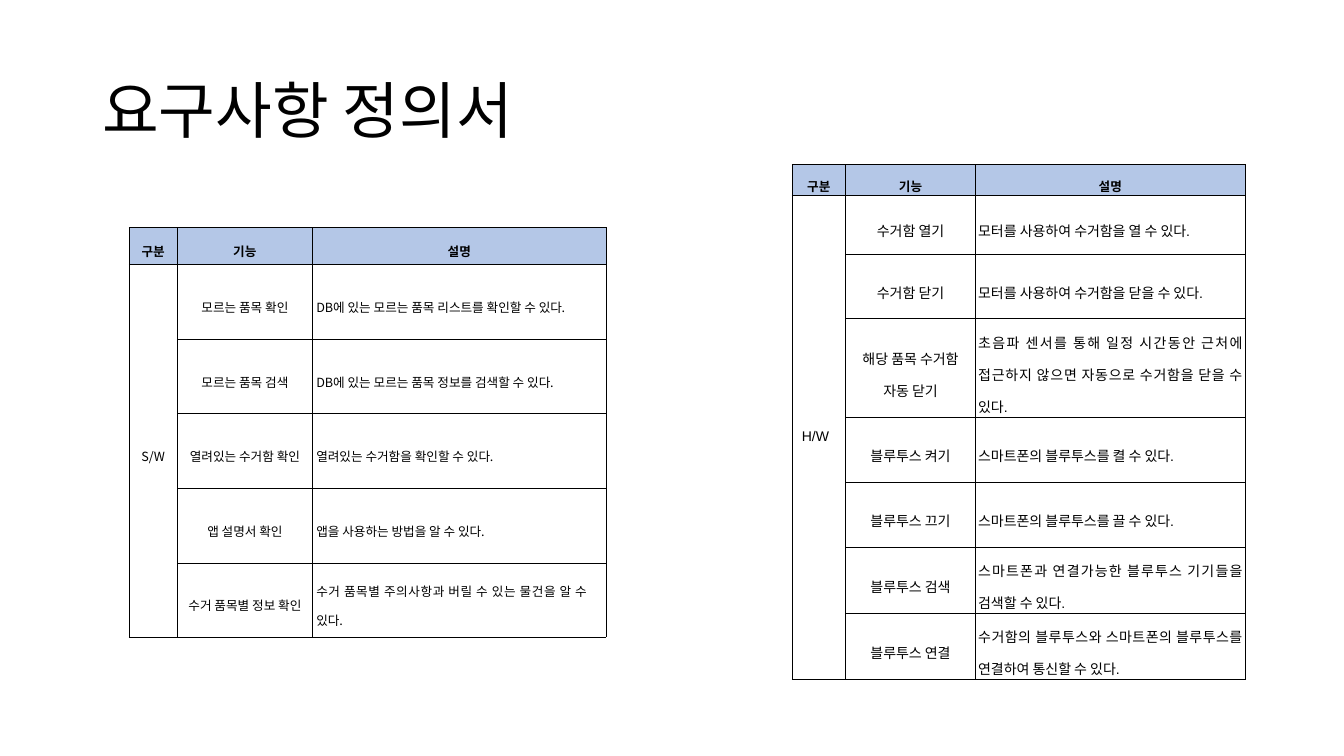
from dataclasses import dataclass

import lxml.etree
import pptx
import pptx.dml.color
import pptx.enum.text
import pptx.oxml.ns
import pptx.slide
import pptx.table
import pptx.text.text
import pptx.util

Cm = pptx.util.Cm
Pt = pptx.util.Pt
Align = pptx.enum.text.PP_ALIGN
Anchor = pptx.enum.text.MSO_ANCHOR
qn = pptx.oxml.ns.qn

BLACK = pptx.dml.color.RGBColor(0x00, 0x00, 0x00)
HEADER_BLUE = pptx.dml.color.RGBColor(0xB4, 0xC7, 0xE7)
KOREAN = "Noto Sans CJK KR"
HEADERS = ("구분", "기능", "설명")
HEADER_SIZE = 9


@dataclass(frozen=True)
class Category:
    text: str
    align: Align
    spacing: float
    margin_x: float
    margin_y: float


@dataclass(frozen=True)
class Requirements:
    left: float
    top: float
    widths: tuple[float, ...]
    heights: tuple[float, ...]
    margin_x: float
    description_right: float
    size: float
    latin: str
    category: Category
    functions: tuple[tuple[str, str], ...]


SOFTWARE = Requirements(
    left=3.25, top=5.73,
    widths=(1.22, 3.4, 7.41),
    heights=(0.93,) + (1.88,) * 5,
    margin_x=0.1, description_right=0.5, size=9, latin=KOREAN,
    category=Category("S/W", Align.CENTER, 1.6, 0.1, 0.03),
    functions=(
        ("모르는 품목 확인", "DB에 있는 모르는 품목 리스트를 확인할 수 있다."),
        ("모르는 품목 검색", "DB에 있는 모르는 품목 정보를 검색할 수 있다."),
        ("열려있는 수거함 확인", "열려있는 수거함을 확인할 수 있다."),
        ("앱 설명서 확인", "앱을 사용하는 방법을 알 수 있다."),
        ("수거 품목별 정보 확인",
         "수거 품목별 주의사항과 버릴 수 있는 물건을 알 수 있다."),
    ),
)

HARDWARE = Requirements(
    left=19.96, top=4.14,
    widths=(1.35, 3.27, 6.8),
    heights=(0.77, 1.49, 1.63, 2.49, 1.63, 1.63, 1.67, 1.67),
    margin_x=0.07, description_right=0.07, size=10, latin="Arial",
    category=Category("H/W", Align.LEFT, 1.0, 0.25, 0.13),
    functions=(
        ("수거함 열기", "모터를 사용하여 수거함을 열 수 있다."),
        ("수거함 닫기", "모터를 사용하여 수거함을 닫을 수 있다."),
        ("해당 품목 수거함 자동 닫기",
         "초음파 센서를 통해 일정 시간동안 근처에 접근하지 않으면 "
         "자동으로 수거함을 닫을 수 있다."),
        ("블루투스 켜기", "스마트폰의 블루투스를 켤 수 있다."),
        ("블루투스 끄기", "스마트폰의 블루투스를 끌 수 있다."),
        ("블루투스 검색",
         "스마트폰과 연결가능한 블루투스 기기들을 검색할 수 있다."),
        ("블루투스 연결",
         "수거함의 블루투스와 스마트폰의 블루투스를 연결하여 통신할 수 있다."),
    ),
)


def add_run(p: pptx.text.text._Paragraph, text: str, size: float,
            latin: str = KOREAN, bold: bool = False) -> None:
    r = p.add_run()
    r.text = text
    r.font.size = Pt(size)
    r.font.bold = bold
    r.font.color.rgb = BLACK
    r.font.name = latin
    ea = lxml.etree.SubElement(r._r.get_or_add_rPr(), qn("a:ea"))
    ea.set("typeface", KOREAN)


def add_borders(cell: pptx.table._Cell) -> None:
    tc_pr = cell._tc.get_or_add_tcPr()
    for side in ("L", "R", "T", "B"):
        ln = lxml.etree.SubElement(tc_pr, qn(f"a:ln{side}"), w=str(Pt(0.28)))
        fill = lxml.etree.SubElement(ln, qn("a:solidFill"))
        lxml.etree.SubElement(fill, qn("a:srgbClr"), val=str(BLACK))


def fill_cell(cell: pptx.table._Cell, text: str, align: Align, size: float,
              latin: str, margin_x: float, margin_y: float = 0.03,
              spacing: float = 1.6, bold: bool = False) -> None:
    cell.vertical_anchor = Anchor.MIDDLE
    cell.margin_left = cell.margin_right = Cm(margin_x)
    cell.margin_top = cell.margin_bottom = Cm(margin_y)
    p = cell.text_frame.paragraphs[0]
    p.alignment = align
    p.line_spacing = spacing
    add_run(p, text, size, latin, bold)


def add_requirements(s: pptx.slide.Slide, req: Requirements) -> None:
    rows, cols = len(req.heights), len(req.widths)
    table = s.shapes.add_table(
        rows, cols, Cm(req.left), Cm(req.top),
        Cm(sum(req.widths)), Cm(sum(req.heights))).table
    table.first_row = False
    table.horz_banding = False
    for column, width in zip(table.columns, req.widths):
        column.width = Cm(width)
    for row, height in zip(table.rows, req.heights):
        row.height = Cm(height)
    for cell in table.iter_cells():
        add_borders(cell)
        cell.fill.background()

    for col, header in enumerate(HEADERS):
        cell = table.cell(0, col)
        cell.fill.solid()
        cell.fill.fore_color.rgb = HEADER_BLUE
        fill_cell(cell, header, Align.CENTER, HEADER_SIZE, KOREAN,
                  req.margin_x, bold=True)

    table.cell(1, 0).merge(table.cell(rows - 1, 0))
    category = req.category
    fill_cell(table.cell(1, 0), category.text, category.align, req.size,
              req.latin, category.margin_x, category.margin_y,
              category.spacing)

    for row, (function, description) in enumerate(req.functions, start=1):
        fill_cell(table.cell(row, 1), function, Align.CENTER, req.size,
                  req.latin, req.margin_x)
        cell = table.cell(row, 2)
        fill_cell(cell, description, Align.JUSTIFY, req.size,
                  req.latin, req.margin_x)
        cell.margin_right = Cm(req.description_right)


def add_title(s: pptx.slide.Slide, text: str) -> None:
    sp = s.shapes.add_textbox(Cm(2.33), Cm(1.01), Cm(29.21), Cm(3.68))
    tf = sp.text_frame
    tf.word_wrap = True
    tf.vertical_anchor = Anchor.MIDDLE
    p = tf.paragraphs[0]
    p.line_spacing = 0.9
    add_run(p, text, 44)


def main() -> None:
    prs = pptx.Presentation()
    prs.slide_width = Cm(33.87)
    prs.slide_height = Cm(19.05)
    s = prs.slides.add_slide(prs.slide_layouts[6])
    add_title(s, "요구사항 정의서")
    for req in (SOFTWARE, HARDWARE):
        add_requirements(s, req)
    prs.save("out.pptx")


if __name__ == "__main__":
    main()
